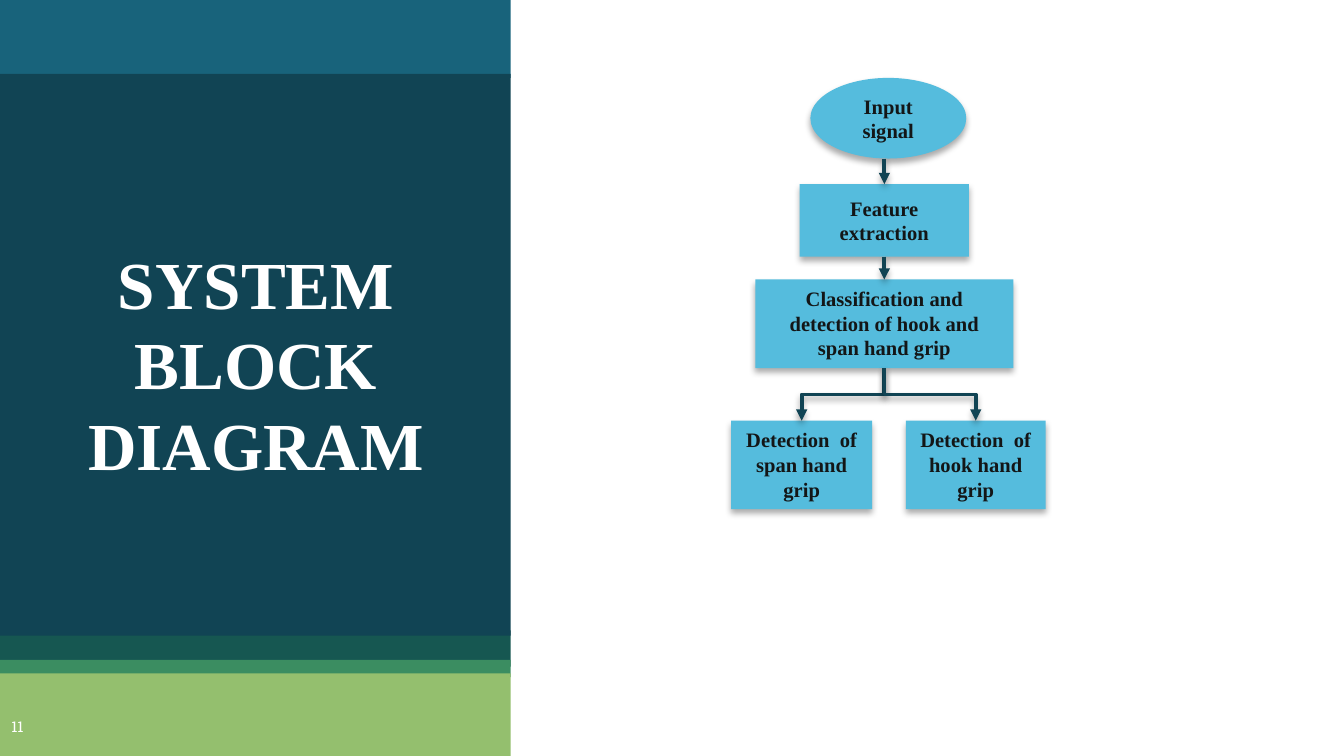
from dataclasses import dataclass

from lxml import etree
from pptx import Presentation
from pptx.dml.color import RGBColor
from pptx.enum import lang, shapes, text
from pptx.oxml import ns
from pptx.util import Inches, Pt


@dataclass(frozen=True)
class Theme:
    white: str = "FFFFFF"
    ink: str = "131617"
    node: str = "55BCDD"
    line: str = "114454"
    serif: str = "Times New Roman"
    slab: str = "Roboto Slab"
    title_pt: int = 36
    node_pt: int = 11
    number_pt: int = 8
    line_pt: int = 2


@dataclass(frozen=True)
class Band:
    top: float
    height: float
    color: str


@dataclass(frozen=True)
class Node:
    label: str
    left: float
    top: float
    width: float
    height: float
    kind: shapes.MSO_SHAPE = shapes.MSO_SHAPE.RECTANGLE
    grow: bool = False


THEME = Theme()
PANEL_WIDTH = 3.8
BANDS = [
    Band(4.69, 0.27, "165751"),
    Band(0, 0.58, "18637B"),
    Band(0.55, 4.18, "114454"),
    Band(4.91, 0.13, "3B8D61"),
    Band(5.01, 0.62, "94BF6E"),
]
INPUT = Node("Input signal", 6.03, 0.58, 1.16, 0.6, shapes.MSO_SHAPE.OVAL)
FEATURES = Node("Feature extraction", 5.95, 1.37, 1.26, 0.54)
CLASSIFIER = Node("Classification and detection of hook and span hand grip",
                  5.62, 2.08, 1.92, 0.66, grow=True)
SPAN = Node("Detection  of span hand grip", 5.44, 3.13, 1.05, 0.66, grow=True)
HOOK = Node("Detection  of hook hand grip", 6.74, 3.13, 1.04, 0.66, grow=True)


def rgb(value: str) -> RGBColor:
    return RGBColor.from_string(value)


def add_effects(sp) -> None:
    effects = etree.SubElement(sp._element.spPr, ns.qn("a:effectLst"))
    outer = etree.SubElement(effects, ns.qn("a:outerShdw"), blurRad=str(Pt(3.5)),
                             dist=str(Pt(2.2)), dir="5400000", rotWithShape="0")
    color = etree.SubElement(outer, ns.qn("a:srgbClr"), val="000000")
    etree.SubElement(color, ns.qn("a:alpha"), val="32000")


def set_text(sp, value: str, size: int, font: str, color: str) -> None:
    tf = sp.text_frame
    tf.word_wrap = True
    tf.text = value
    p = tf.paragraphs[0]
    p.alignment = text.PP_ALIGN.CENTER
    r = p.runs[0]
    r.font.size = Pt(size)
    r.font.name = font
    r.font.bold = font == THEME.serif
    r.font.language_id = lang.MSO_LANGUAGE_ID.ENGLISH_US
    r.font.color.rgb = rgb(color)


def add_band(s, band: Band) -> None:
    sp = s.shapes.add_shape(shapes.MSO_SHAPE.RECTANGLE, 0, Inches(band.top),
                            Inches(PANEL_WIDTH), Inches(band.height))
    sp.shadow.inherit = False
    sp.fill.solid()
    sp.fill.fore_color.rgb = rgb(band.color)
    sp.line.fill.background()


def add_node(s, node: Node):
    sp = s.shapes.add_shape(node.kind, Inches(node.left), Inches(node.top),
                            Inches(node.width), Inches(node.height))
    sp.fill.solid()
    sp.fill.fore_color.rgb = rgb(THEME.node)
    sp.line.fill.background()
    add_effects(sp)
    set_text(sp, node.label, THEME.node_pt, THEME.serif, THEME.ink)
    tf = sp.text_frame
    tf.vertical_anchor = text.MSO_ANCHOR.TOP if node.grow else text.MSO_ANCHOR.MIDDLE
    if node.grow:
        tf.auto_size = text.MSO_AUTO_SIZE.SHAPE_TO_FIT_TEXT
    return sp


def style_arrow(cx) -> None:
    cx.line.color.rgb = rgb(THEME.line)
    cx.line.width = Pt(THEME.line_pt)
    etree.SubElement(cx.line._get_or_add_ln(), ns.qn("a:tailEnd"), type="triangle")
    add_effects(cx)


def add_arrow(s, start, end) -> None:
    x = end.left + end.width // 2
    cx = s.shapes.add_connector(shapes.MSO_CONNECTOR.STRAIGHT, x,
                                start.top + start.height, x, end.top)
    if start.auto_shape_type == shapes.MSO_SHAPE.RECTANGLE:
        cx.begin_connect(start, 2)
    cx.end_connect(end, 0)
    style_arrow(cx)


def add_branch(s, start, end) -> None:
    x1, y1 = start.left + start.width // 2, start.top + start.height
    x2, y2 = end.left + end.width // 2, end.top
    cx = s.shapes.add_connector(shapes.MSO_CONNECTOR.ELBOW, x1, y1, x2, y2)
    cx.begin_connect(start, 2)
    cx.end_connect(end, 0)
    run, drop = abs(x2 - x1), y2 - y1
    cx.left, cx.top = (x1 + x2 - drop) // 2, (y1 + y2 - run) // 2
    cx.width, cx.height = drop, run
    xfrm = cx._element.spPr.find(ns.qn("a:xfrm"))
    rightward = x2 > x1
    xfrm.set("rot", str((270 if rightward else 90) * 60000))
    xfrm.set("flipH", str(int(rightward)))
    style_arrow(cx)


def add_label(s, value: str, box: tuple[float, ...], size: int, font: str):
    sp = s.shapes.add_textbox(*map(Inches, box))
    set_text(sp, value, size, font, THEME.white)
    return sp.text_frame


def main() -> None:
    prs = Presentation()
    prs.slide_width = Inches(10)
    prs.slide_height = prs.slide_width * 9 // 16
    s = prs.slides.add_slide(prs.slide_layouts[6])

    for band in BANDS:
        add_band(s, band)

    tf = add_label(s, "11", (-0.06, 5.27, 0.38, 0.35), THEME.number_pt, THEME.slab)
    tf.margin_top = tf.margin_bottom = Inches(0.1)
    tf = add_label(s, "SYSTEM BLOCK DIAGRAM", (0.44, 1.75, 2.93, 1.92),
                   THEME.title_pt, THEME.serif)
    tf.auto_size = text.MSO_AUTO_SIZE.SHAPE_TO_FIT_TEXT

    signal, features, classifier, span, hook = [
        add_node(s, node) for node in (INPUT, FEATURES, CLASSIFIER, SPAN, HOOK)]
    add_arrow(s, signal, features)
    add_arrow(s, features, classifier)
    for result in (span, hook):
        add_branch(s, classifier, result)

    prs.save("out.pptx")


if __name__ == "__main__":
    main()
